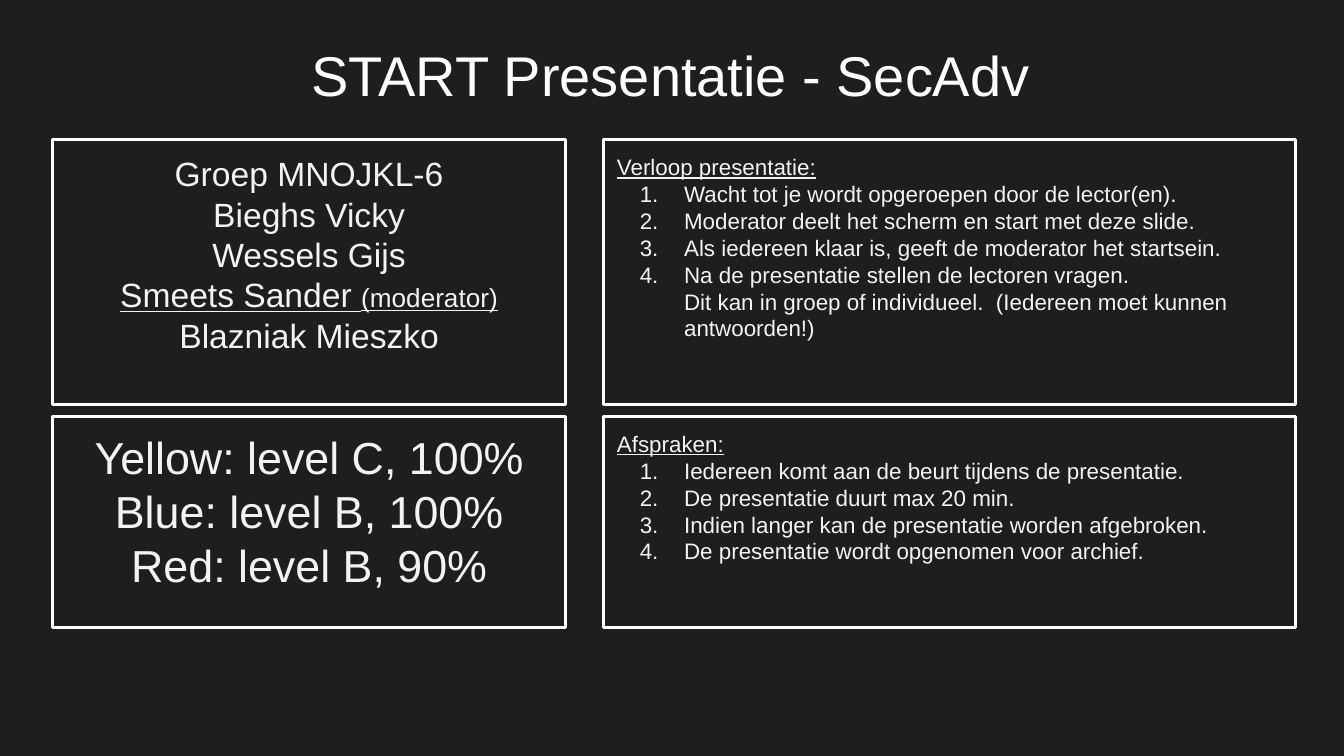
from dataclasses import dataclass

from lxml import etree
from pptx import Presentation
from pptx import util as u
from pptx.dml.color import RGBColor
from pptx.enum import text
from pptx.oxml.ns import qn


@dataclass(frozen=True)
class Theme:
    font: str = "Arial"
    background: str = "1E1E1E"
    bright: str = "FFFFFF"
    body: str = "F3F3F3"
    title_size: int = 30
    level_size: int = 24
    member_size: int = 18
    note_size: int = 14
    list_size: int = 12
    leading: float = 1.2
    border: float = 1.5
    inset: float = 0.1


THEME = Theme()
WIDTH = 10
HEIGHT = WIDTH * 9 / 16
COLUMNS = ((0.39, 3.82), (4.49, 5.15))
ROWS = ((1.04, 1.97), (3.1, 1.57))
TITLE_BOX = (0.33, 0.31, 9.32, 0.59)

MEMBERS = ("Groep MNOJKL-6", "Bieghs Vicky", "Wessels Gijs",
           ("Smeets Sander ", "(moderator)"), "Blazniak Mieszko")
LEVELS = ("Yellow: level C, 100%", "Blue: level B, 100%", "Red: level B, 90%")
PROCEDURE = (
    "Wacht tot je wordt opgeroepen door de lector(en).",
    "Moderator deelt het scherm en start met deze slide.",
    "Als iedereen klaar is, geeft de moderator het startsein.",
    "Na de presentatie stellen de lectoren vragen.\n"
    "Dit kan in groep of individueel.  (Iedereen moet kunnen antwoorden!)",
)
AGREEMENTS = (
    "Iedereen komt aan de beurt tijdens de presentatie.",
    "De presentatie duurt max 20 min.",
    "Indien langer kan de presentatie worden afgebroken.",
    "De presentatie wordt opgenomen voor archief.",
)


def cell(column, row):
    (left, width), (top, height) = COLUMNS[column], ROWS[row]
    return left, top, width, height


def place(shape, box, anchor):
    shape.left, shape.top, shape.width, shape.height = map(u.Inches, box)
    frame = shape.text_frame
    frame.word_wrap = True
    frame.auto_size = text.MSO_AUTO_SIZE.NONE
    frame.vertical_anchor = anchor
    frame.margin_left = frame.margin_right = u.Inches(THEME.inset)
    frame.margin_top = frame.margin_bottom = u.Inches(THEME.inset)
    return frame


def set_bullet(paragraph, numbered):
    properties = paragraph._p.get_or_add_pPr()
    properties.set("marL", str(u.Inches(0.5 if numbered else 0)))
    properties.set("indent", str(u.Inches(-0.33 if numbered else 0)))
    if numbered:
        color = etree.SubElement(properties, qn("a:buClr"))
        etree.SubElement(color, qn("a:srgbClr"), val=THEME.body)
        etree.SubElement(properties, qn("a:buAutoNum"), type="arabicPeriod")
    else:
        etree.SubElement(properties, qn("a:buNone"))


def style(paragraph, size, color, alignment, underline=False):
    paragraph.alignment = alignment
    paragraph.space_before = u.Pt(0)
    font = paragraph.font
    font.name = THEME.font
    font.size = u.Pt(size)
    font.bold = False
    font.underline = underline
    font.color.rgb = RGBColor.from_string(color)


def add_title(shape, box, wording):
    frame = place(shape, box, text.MSO_ANCHOR.BOTTOM)
    frame.text = wording
    style(frame.paragraphs[0], THEME.title_size, THEME.bright, text.PP_ALIGN.CENTER)


def panel_paragraphs(shape, box, count):
    frame = place(shape, box, text.MSO_ANCHOR.TOP)
    shape.line.color.rgb = RGBColor.from_string(THEME.bright)
    shape.line.width = u.Pt(THEME.border)
    for _ in range(count - 1):
        frame.add_paragraph()
    return frame.paragraphs


def add_centered_panel(shape, box, lines, size):
    for paragraph, line in zip(panel_paragraphs(shape, box, len(lines)), lines):
        set_bullet(paragraph, False)
        has_note = isinstance(line, tuple)
        style(paragraph, size, THEME.body, text.PP_ALIGN.CENTER, has_note)
        paragraph.line_spacing = u.Pt(size * THEME.leading)
        if has_note:
            name, note = line
            paragraph.add_run().text = name
            run = paragraph.add_run()
            run.text = note
            run.font.size = u.Pt(THEME.note_size)
        else:
            paragraph.text = line


def add_list_panel(shape, box, heading, items):
    paragraphs = panel_paragraphs(shape, box, len(items) + 1)
    for index, (paragraph, line) in enumerate(zip(paragraphs, (heading, *items))):
        paragraph.text = line
        set_bullet(paragraph, index > 0)
        style(paragraph, THEME.list_size, THEME.body, text.PP_ALIGN.LEFT, index == 0)
        paragraph.line_spacing = u.Pt(THEME.list_size * THEME.leading)


def main():
    presentation = Presentation()
    presentation.slide_width = u.Inches(WIDTH)
    presentation.slide_height = u.Inches(HEIGHT)
    comparison = presentation.slide_layouts.get_by_name("Comparison")
    slide = presentation.slides.add_slide(comparison)
    fill = slide.background.fill
    fill.solid()
    fill.fore_color.rgb = RGBColor.from_string(THEME.background)

    title, members, levels, procedure, agreements = slide.placeholders
    add_title(title, TITLE_BOX, "START Presentatie - SecAdv")
    add_centered_panel(members, cell(0, 0), MEMBERS, THEME.member_size)
    add_centered_panel(levels, cell(0, 1), LEVELS, THEME.level_size)
    add_list_panel(procedure, cell(1, 0), "Verloop presentatie:", PROCEDURE)
    add_list_panel(agreements, cell(1, 1), "Afspraken:", AGREEMENTS)
    presentation.save("out.pptx")


if __name__ == "__main__":
    main()
